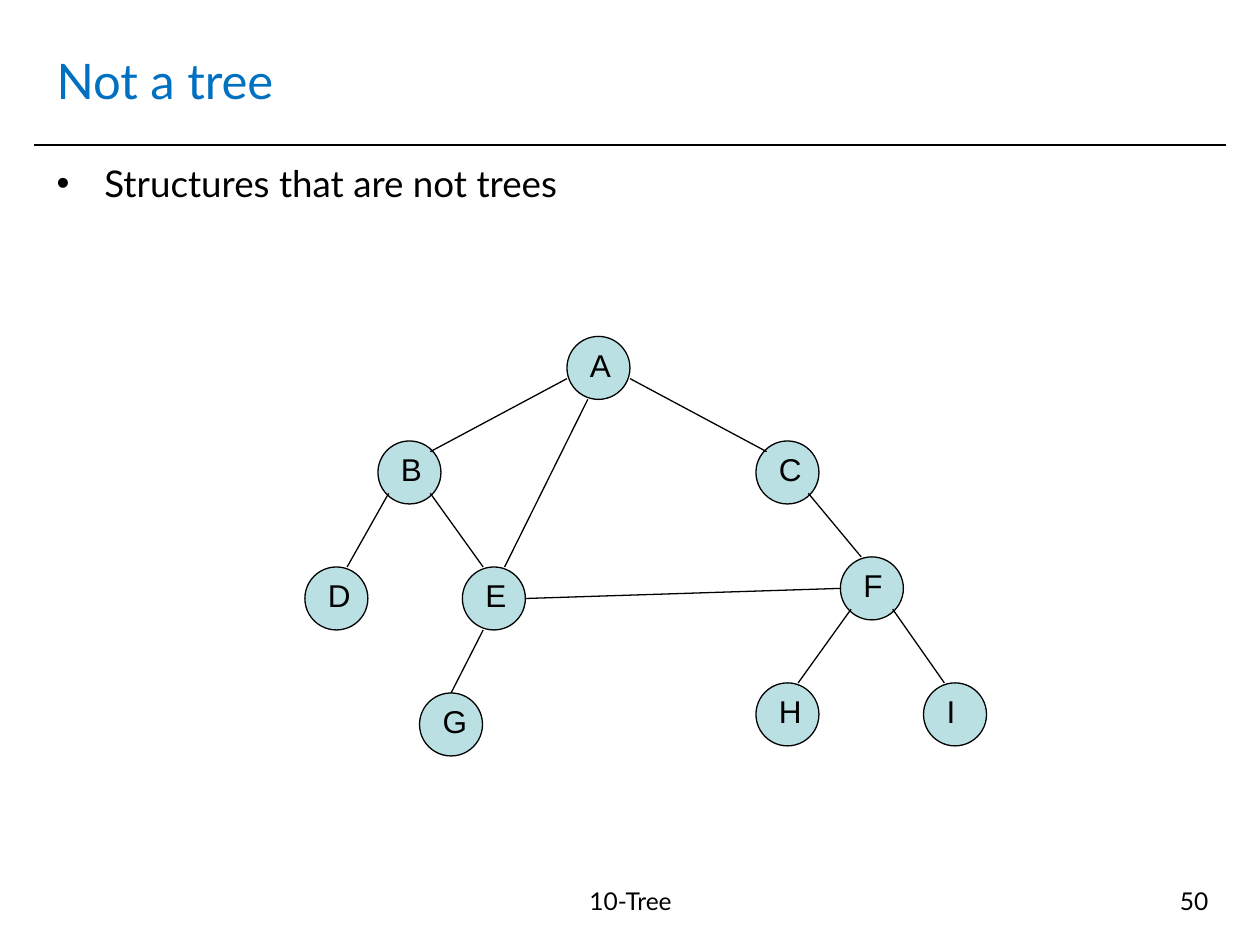
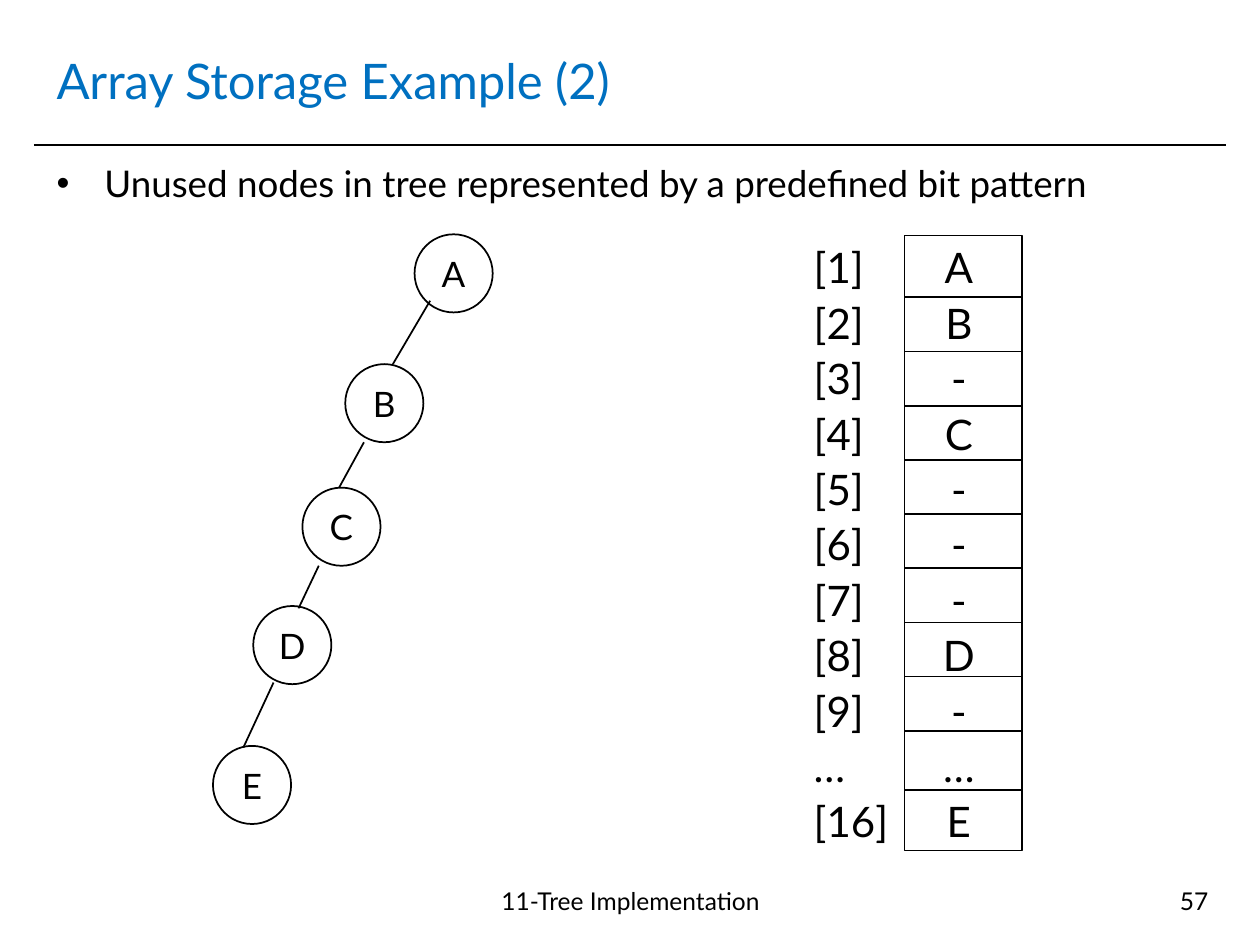
from lxml.etree import SubElement
from pptx import Presentation
from pptx.dml.color import RGBColor
from pptx.enum.shapes import MSO_CONNECTOR as Connector, MSO_SHAPE as Shape
from pptx.enum.text import MSO_ANCHOR as Anchor, PP_ALIGN as Align
from pptx.oxml.ns import qn
from pptx.util import Inches, Pt

COLORS = {"ink": "000000", "title": "0070C0", "node": "BBE0E3"}
FONT, GRAPH_FONT = "Lato", "Arial"

GRAPH_SLIDE = {
    "title": "Not a tree",
    "bullet": "Structures that are not trees",
    "footer": "10-Tree",
    "number": "50",
}
# Node: left, top
GRAPH_NODES = {
    "A": (4.5, 2.67), "B": (3, 3.5), "C": (6, 3.5),
    "D": (2.42, 4.5), "E": (3.67, 4.5), "F": (6.67, 4.42),
    "G": (3.33, 5.5), "H": (6, 5.42), "I": (7.33, 5.42),
}
# Ends of an edge, as fractions of the node's diameter
LOW_LEFT, LOW_RIGHT = (0.17, 0.83), (0.83, 0.83)
TOP_LEFT, TOP_RIGHT = (0.33, 0), (0.67, 0)
GRAPH_EDGES = [
    ("A", (0, 0.67), "B", (0.83, 0.17)),
    ("A", (1, 0.67), "C", (0.17, 0.17)),
    ("B", LOW_LEFT, "D", TOP_RIGHT),
    ("B", LOW_RIGHT, "E", TOP_LEFT),
    ("E", (0.33, 1), "G", (0.5, 0)),
    ("C", LOW_RIGHT, "F", TOP_LEFT),
    ("F", LOW_LEFT, "H", TOP_RIGHT),
    ("F", LOW_RIGHT, "I", TOP_LEFT),
    ("A", (0.33, 1), "E", TOP_RIGHT),
    ("E", (1, 0.5), "F", (0, 0.5)),
]

ARRAY_SLIDE = {
    "title": "Array Storage Example (2)",
    "bullet": "Unused nodes in tree represented by a predefined bit pattern",
    "footer": "11-Tree Implementation",
    "number": "57",
}
CHAIN_NODES = {
    "A": (3.29, 1.86), "B": (2.74, 2.89), "C": (2.4, 3.87),
    "D": (2.01, 4.81), "E": (1.69, 5.92),
}
CHAIN_EDGES = [
    ("A", (0.2, 0.85), "B", (0.61, 0)),
    ("B", (0.24, 1), "C", (0.47, 0)),
    ("C", (0.21, 1), "D", (0.58, 0.03)),
    ("D", (0.26, 0.98), "E", (0.39, 0.02)),
]
ARRAY = [
    ("[1]", "A"), ("[2]", "B"), ("[3]", "-"), ("[4]", "C"),
    ("[5]", "-"), ("[6]", "-"), ("[7]", "-"), ("[8]", "D"),
    ("[9]", "-"), ("…", "…"), ("[16]", "E"),
]


def color(name):
    return RGBColor.from_string(COLORS[name])


def write(shape, lines, size=14, font=FONT, ink="ink", align=Align.LEFT,
          anchor=Anchor.TOP, wrap=True, spacing=None, insets=None, bullet=False):
    frame = shape.text_frame
    frame.word_wrap = wrap
    frame.vertical_anchor = anchor
    if insets:
        (frame.margin_left, frame.margin_top,
         frame.margin_right, frame.margin_bottom) = map(Inches, insets)
    frame.text = "\n".join(lines)
    for paragraph in frame.paragraphs:
        if bullet:
            props = paragraph._p.get_or_add_pPr()
            props.set("marL", str(Inches(0.38)))
            props.set("indent", str(-Inches(0.38)))
            SubElement(props, qn("a:buFont"), typeface="Arial")
            SubElement(props, qn("a:buChar"), char="•")
        paragraph.alignment = align
        if spacing:
            paragraph.line_spacing = spacing
        paragraph.font.size = Pt(size)
        paragraph.font.name = font
        paragraph.font.color.rgb = color(ink)


def add_text(slide, place, lines, **style):
    write(slide.shapes.add_textbox(*map(Inches, place)), lines, **style)


def add_line(slide, start, end, width=1):
    line = slide.shapes.add_connector(
        Connector.STRAIGHT, *map(Inches, (*start, *end)))
    line.line.color.rgb = color("ink")
    line.line.width = Pt(width)
    SubElement(line._element.spPr, qn("a:effectLst"))


def add_outlined(slide, kind, place, fill=None, width=1):
    shape = slide.shapes.add_shape(kind, *map(Inches, place))
    shape.shadow.inherit = False
    if fill:
        shape.fill.solid()
        shape.fill.fore_color.rgb = color(fill)
    else:
        shape.fill.background()
    shape.line.color.rgb = color("ink")
    shape.line.width = Pt(width)
    return shape


def add_graph(slide, nodes, edges, diameter, fill=None, width=1, **label_style):
    def edge_end(name, fractions):
        return [corner + diameter * part
                for corner, part in zip(nodes[name], fractions)]

    for name, corner in nodes.items():
        node = add_outlined(slide, Shape.OVAL, (*corner, diameter, diameter),
                            fill, width)
        write(node, [name], **label_style)
    for parent, leave, child, arrive in edges:
        add_line(slide, edge_end(parent, leave), edge_end(child, arrive), width)


def add_array(slide, rows):
    left, top, width, height = 7.18, 1.87, 0.93, 4.88
    first_rule, pitch, last_rule = 2.36, 0.43, 6.27
    add_outlined(slide, Shape.RECTANGLE, (left, top, width, height))
    rules = [first_rule + pitch * i for i in range(len(rows) - 2)] + [last_rule]
    for y in rules:
        add_line(slide, (left, y), (left + width, y))
    indexes, values = zip(*rows)
    column = {"size": 24, "wrap": False, "spacing": 1.1}
    add_text(slide, (6.36, 1.83, 0.83, 4.99), indexes, **column)
    add_text(slide, (7.37, 1.83, 0.48, 4.99), values, align=Align.CENTER, **column)


def add_page(deck, content):
    """Add a slide with the title, rule, bullet and footer all slides share."""
    slide = deck.slides.add_slide(deck.slide_layouts[6])
    add_line(slide, (0.27, 1.15), (9.73, 1.15))
    add_text(slide, (0.35, 0.21, 9.29, 0.85), [content["title"]],
             size=28, ink="title", anchor=Anchor.MIDDLE)
    add_text(slide, (0.35, 1.23, 9.29, 5.59), [content["bullet"]],
             size=21, bullet=True)
    add_text(slide, (3.35, 6.98, 3.31, 0.52), [content["footer"]],
             align=Align.CENTER)
    add_text(slide, (7.36, 6.98, 2.33, 0.52), [content["number"]],
             align=Align.RIGHT)
    return slide


def main():
    deck = Presentation()
    deck.slide_width, deck.slide_height = Inches(10), Inches(7.5)

    graph_page = add_page(deck, GRAPH_SLIDE)
    add_graph(graph_page, GRAPH_NODES, GRAPH_EDGES, 0.5, fill="node", width=0.75,
              size=18, font=GRAPH_FONT, insets=(0.11, 0, 0, 0))

    array_page = add_page(deck, ARRAY_SLIDE)
    add_graph(array_page, CHAIN_NODES, CHAIN_EDGES, 0.62, size=20,
              align=Align.CENTER, anchor=Anchor.MIDDLE, insets=(0, 0, 0, 0))
    add_array(array_page, ARRAY)

    deck.save("out.pptx")


if __name__ == "__main__":
    main()
